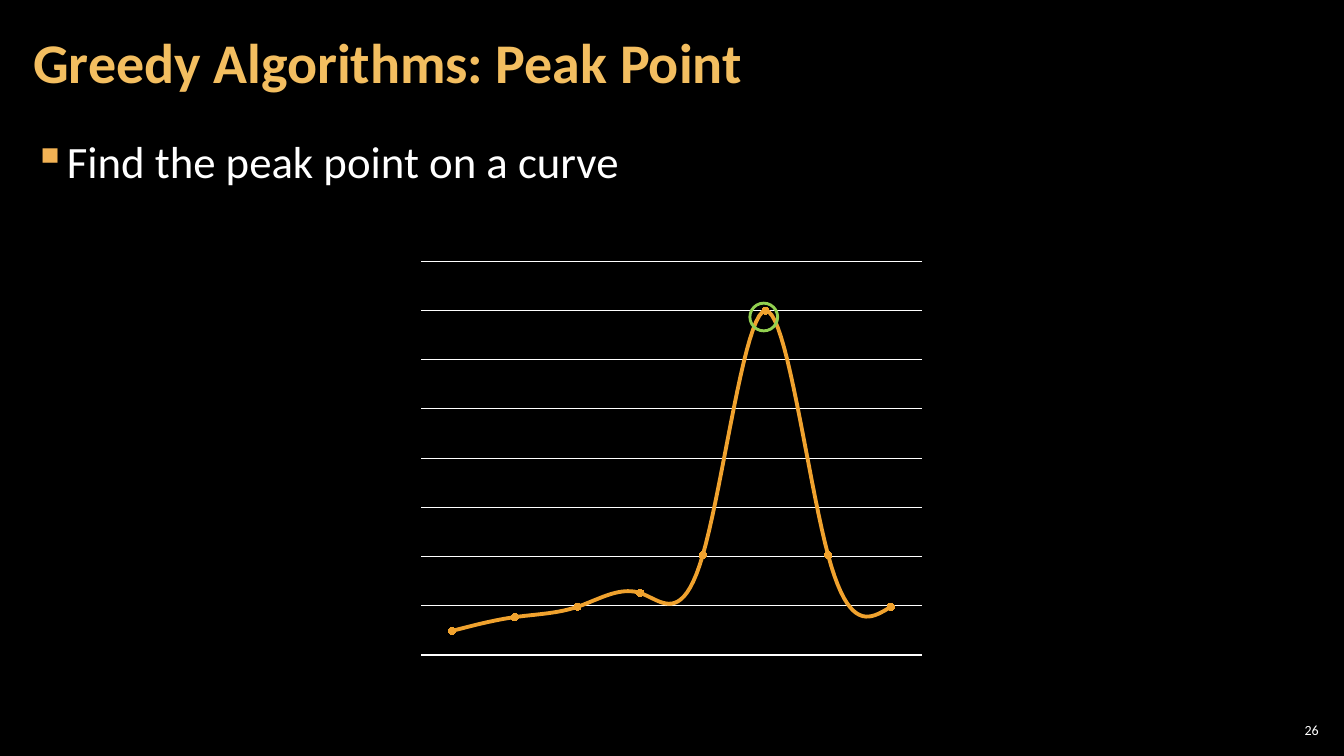
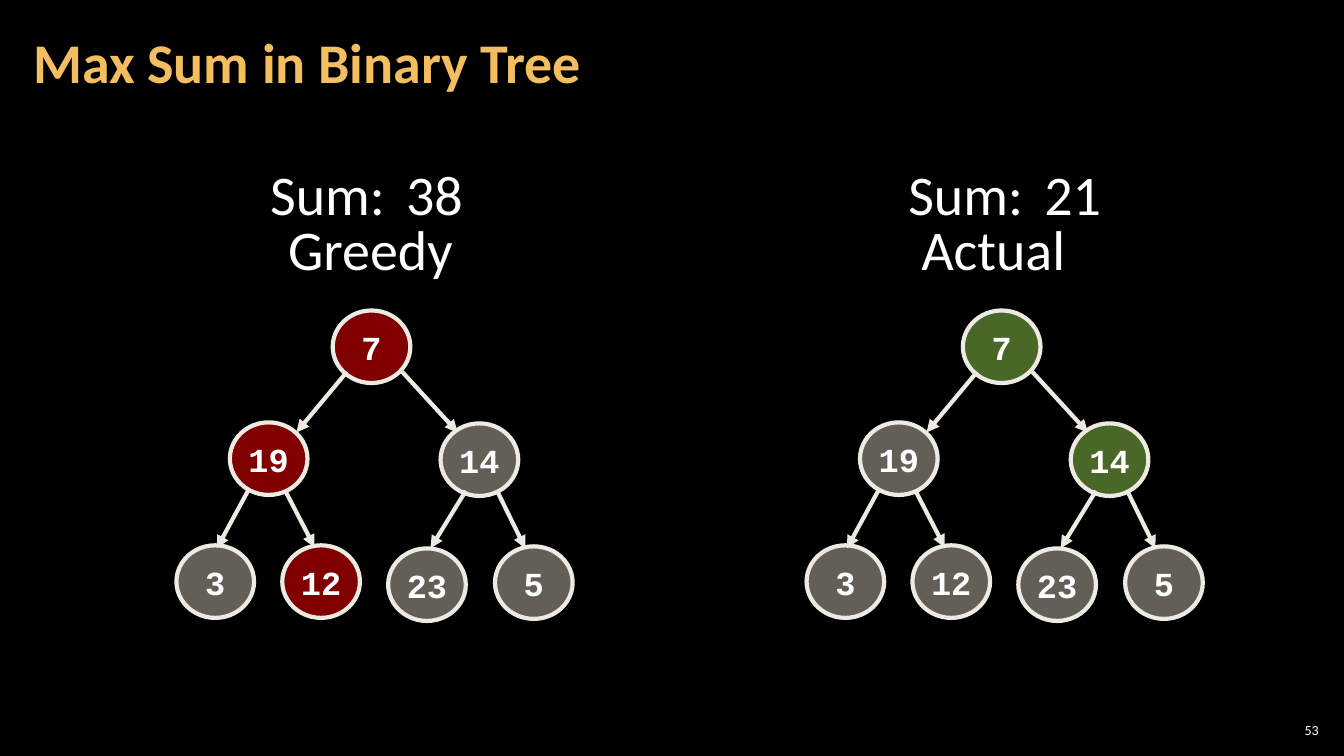
from lxml.etree import SubElement
from pptx import Presentation
from pptx.chart.data import CategoryChartData
from pptx.dml.color import RGBColor
from pptx.enum.chart import XL_CHART_TYPE, XL_MARKER_STYLE
from pptx.enum.shapes import MSO_CONNECTOR, MSO_SHAPE
from pptx.enum.text import MSO_ANCHOR, MSO_AUTO_SIZE, PP_ALIGN
from pptx.oxml.ns import qn
from pptx.util import Inches, Pt

COLORS = {
    "background": "000000",
    "title": "F3BE60",
    "text": "FFFFFF",
    "bullet": "F2B254",
    "curve": "F0A22E",
    "peak": "92D050",
    "node": "C7BFAC",
    "greedy": "FF0000",
    "actual": "92D050",
    "outline": "ECEAE3",
}
COLORS = {name: RGBColor.from_string(value) for name, value in COLORS.items()}


def write_text(shape, text, size=40, color="text", font="Calibri", bold=False,
               align=PP_ALIGN.LEFT, anchor=MSO_ANCHOR.TOP, wrap=True,
               margins=(0.1, 0.05), line_spacing=None, bullet=None):
    frame = shape.text_frame
    frame.word_wrap = wrap
    frame.vertical_anchor = anchor
    frame.margin_left = frame.margin_right = Inches(margins[0])
    frame.margin_top = frame.margin_bottom = Inches(margins[1])
    paragraph = frame.paragraphs[0]
    paragraph.alignment = align
    if line_spacing:
        paragraph.line_spacing = line_spacing
    if bullet:
        properties = paragraph._p.get_or_add_pPr()
        properties.set("marL", str(Inches(0.33)))
        properties.set("indent", str(Inches(-0.33)))
        bullet_color = SubElement(properties, qn("a:buClr"))
        SubElement(bullet_color, qn("a:srgbClr")).set("val", str(COLORS["bullet"]))
        SubElement(properties, qn("a:buChar")).set("char", bullet)
    run = paragraph.add_run()
    run.text = text
    run.font.size = Pt(size)
    run.font.name = font
    run.font.bold = bold
    run.font.color.rgb = COLORS[color]


def add_outlined_shape(shapes, preset, position, fill, line, width):
    shape = shapes.add_shape(preset, *[Inches(value) for value in position])
    shape.shadow.inherit = False
    shape.fill.solid()
    shape.fill.fore_color.rgb = COLORS[fill]
    shape.line.color.rgb = COLORS[line]
    shape.line.width = Pt(width)
    return shape


presentation = Presentation()
presentation.slide_width = Inches(13.33)
presentation.slide_height = Inches(7.5)
background = presentation.slide_master.background.fill
background.solid()
background.fore_color.rgb = COLORS["background"]

slides = []
for title, number in [("Greedy Algorithms: Peak Point", "26"), ("Max Sum in Binary Tree", "53")]:
    slide = presentation.slides.add_slide(presentation.slide_layouts[6])
    title_box = slide.shapes.add_textbox(Inches(0.21), Inches(0.04), Inches(10.47), Inches(1.21))
    write_text(title_box, title, color="title", bold=True, anchor=MSO_ANCHOR.MIDDLE,
               margins=(0.12, 0.04), line_spacing=0.9)
    number_box = slide.shapes.add_textbox(Inches(12.65), Inches(7.14), Inches(0.47), Inches(0.21))
    write_text(number_box, number, size=10, align=PP_ALIGN.RIGHT, anchor=MSO_ANCHOR.MIDDLE,
               margins=(0.04, 0.04))
    slides.append(slide)
peak_slide, tree_slide = slides

body_box = peak_slide.shapes.add_textbox(Inches(0.21), Inches(1.26), Inches(12.91), Inches(6.09))
write_text(body_box, "Find the peak point on a curve", size=32, margins=(0.12, 0.04),
           line_spacing=1.05, bullet="▪")

heights = [7, 11, 14, 18, 29, 100, 29, 14]
chart_data = CategoryChartData()
chart_data.categories = [str(index + 1) for index in range(len(heights))]
chart_data.add_series("Series 1", heights)
chart = peak_slide.shapes.add_chart(XL_CHART_TYPE.LINE_MARKERS, Inches(4.07), Inches(2.51),
                                    Inches(5.18), Inches(4.07), chart_data).chart
chart.has_legend = False
chart.has_title = False
chart.font.size = Pt(10)
chart.font.name = "Calibri"
chart.font.color.rgb = COLORS["text"]
chart.plots[0].vary_by_categories = False
chart.category_axis.visible = False
value_axis = chart.value_axis
value_axis.visible = False
value_axis.minimum_scale = 0
value_axis.maximum_scale = 114.4
value_axis.major_unit = 14.3
value_axis.has_major_gridlines = True
value_axis.major_gridlines.format.line.color.rgb = COLORS["text"]
value_axis.major_gridlines.format.line.width = Pt(0.75)
curve = chart.plots[0].series[0]
curve.smooth = True
curve.format.line.color.rgb = COLORS["curve"]
curve.format.line.width = Pt(2.75)
curve.marker.style = XL_MARKER_STYLE.CIRCLE
curve.marker.size = 5
curve.marker.format.fill.solid()
curve.marker.format.fill.fore_color.rgb = COLORS["curve"]
curve.marker.format.line.fill.background()

peak_ring = add_outlined_shape(peak_slide.shapes, MSO_SHAPE.DONUT, (7.43, 3, 0.29, 0.29),
                               "peak", "peak", 1)
peak_ring.adjustments[0] = 0.052

labels = [
    ("Sum:", 2.58, 1.53, 1.35), ("38", 3.93, 1.53, 0.77), ("Greedy", 2.76, 2.08, 1.85),
    ("Sum:", 8.91, 1.53, 1.35), ("21", 10.26, 1.53, 0.77), ("Actual", 9.04, 2.08, 1.64),
]
for text, left, top, width in labels:
    label = tree_slide.shapes.add_textbox(Inches(left), Inches(top), Inches(width), Inches(0.77))
    write_text(label, text, wrap=False)
    label.text_frame.auto_size = MSO_AUTO_SIZE.SHAPE_TO_FIT_TEXT

nodes = [
    ("7", 3.3, 3.08), ("14", 4.37, 4.2), ("19", 2.28, 4.19), ("23", 3.85, 5.44),
    ("5", 4.91, 5.42), ("12", 2.8, 5.41), ("3", 1.75, 5.41),
]
edges = [
    (3.44, 3.69, 2.94, 4.29), (3.99, 3.69, 4.54, 4.29),
    (2.46, 4.87, 2.15, 5.44), (2.83, 4.87, 3.12, 5.43),
    (4.62, 4.87, 4.27, 5.44), (4.93, 4.87, 5.21, 5.44),
]
trees = [(0, "greedy", {"7", "19", "12"}), (6.25, "actual", {"7", "14"})]
for offset, highlight, chosen in trees:
    tree = tree_slide.shapes.add_group_shape().shapes
    for value, left, top in nodes:
        fill = highlight if value in chosen else "node"
        node = add_outlined_shape(tree, MSO_SHAPE.OVAL, (left + offset, top, 0.77, 0.72),
                                  fill, "outline", 3)
        fill_color = node._element.spPr.find(qn("a:solidFill"))[0]
        SubElement(fill_color, qn("a:alpha")).set("val", "50000")
        write_text(node, value, size=24, font="Courier New", bold=True,
                   align=PP_ALIGN.CENTER, anchor=MSO_ANCHOR.MIDDLE, wrap=False)
    for start_x, start_y, end_x, end_y in edges:
        arrow = tree.add_connector(MSO_CONNECTOR.STRAIGHT, Inches(start_x + offset),
                                   Inches(start_y), Inches(end_x + offset), Inches(end_y))
        arrow.line.color.rgb = COLORS["outline"]
        arrow.line.width = Pt(3)
        SubElement(arrow.line._get_or_add_ln(), qn("a:tailEnd")).set("type", "triangle")
        SubElement(arrow._element.spPr, qn("a:effectLst"))

presentation.save("out.pptx")
